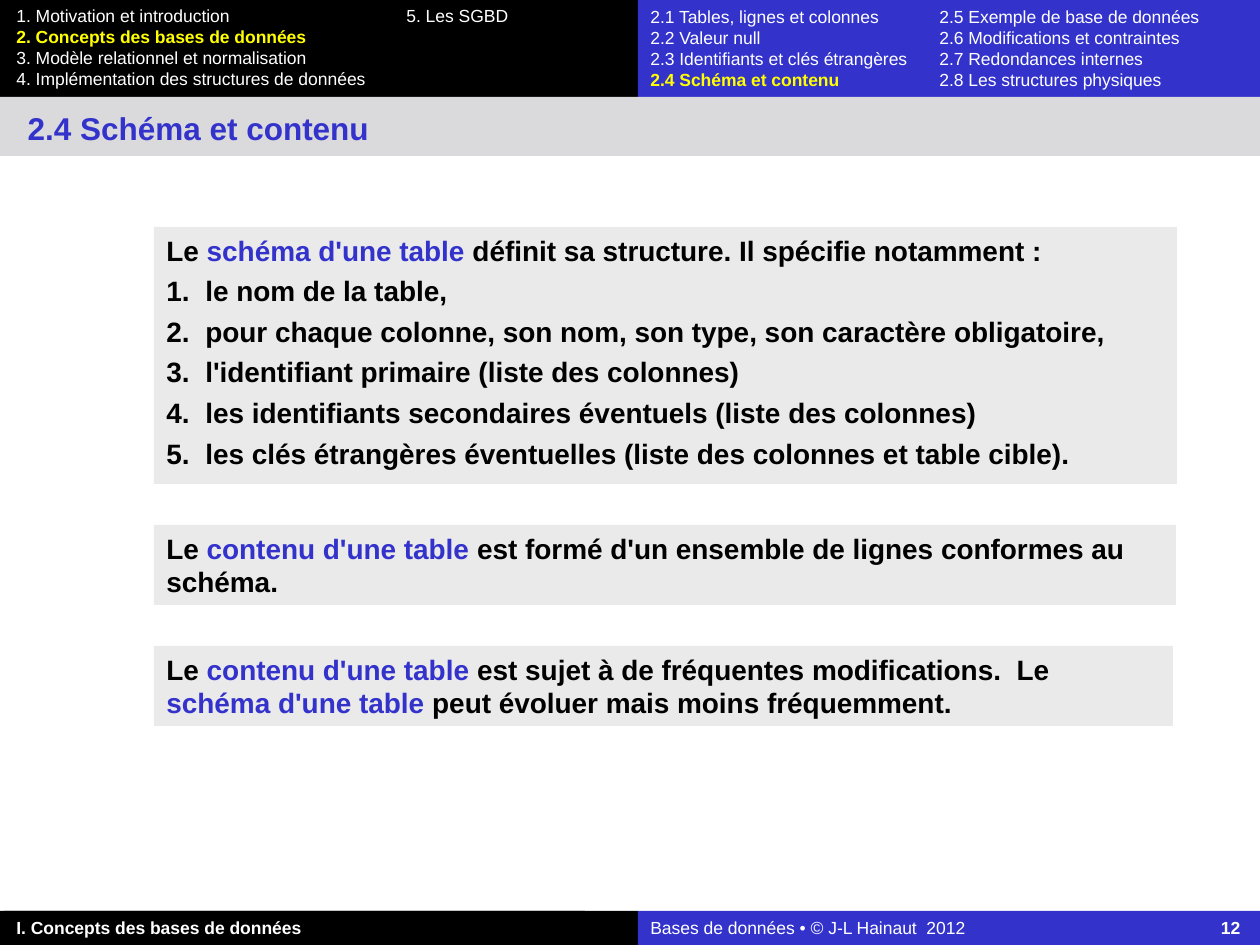
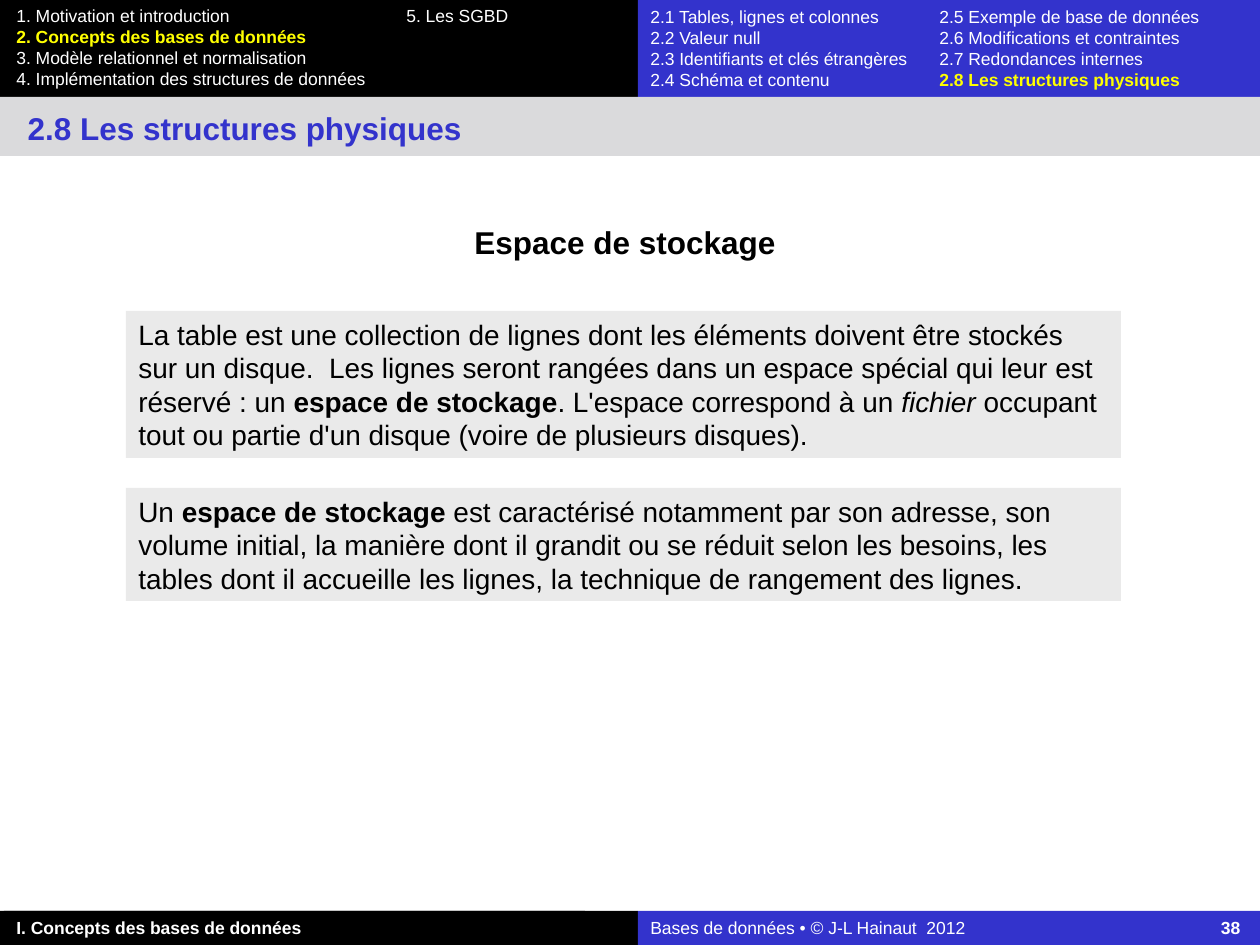
from lxml import etree
from pptx import Presentation
from pptx import util as u
from pptx.dml.color import RGBColor
from pptx.enum import shapes, text
from pptx.oxml.ns import qn

COLOURS = {
    "black": "000000", "blue": "3333CC", "white": "FFFFFF",
    "yellow": "FFFF00", "band": "DADADC", "panel": "EAEAEA",
}
STYLES = {
    "plain": ("black", False, False),
    "bold": ("black", True, False),
    "italic": ("black", False, True),
    "key": ("blue", True, False),
    "menu": ("white", False, False),
    "active": ("yellow", True, False),
    "strong": ("white", True, False),
}
FONT = "Arial"
SCALE = u.Inches(1) // 126
WIDTH, HEIGHT = 1260, 945
SPLIT = 638
HEADER, FOOTER = 97, 34
MARGIN = 4
MENU_WIDTH = 581

CHAPTERS = [
    ["1. Motivation et introduction", "5. Les SGBD"],
    ["2. Concepts des bases de données"],
    ["3. Modèle relationnel et normalisation"],
    ["4. Implémentation des structures de données"],
]
CHAPTER = "2. Concepts des bases de données"
SECTIONS = [
    ["2.1 Tables, lignes et colonnes", "2.5 Exemple de base de données"],
    ["2.2 Valeur null", "2.6 Modifications et contraintes"],
    ["2.3 Identifiants et clés étrangères", "2.7 Redondances internes"],
    ["2.4 Schéma et contenu", "2.8 Les structures physiques"],
]
PART = "I. Concepts des bases de données"
COURSE = "Bases de données • © J-L Hainaut  2012"

SCHEMA_ITEMS = [
    "le nom de la table,",
    "pour chaque colonne, son nom, son type, son caractère obligatoire,",
    "l'identifiant primaire (liste des colonnes)",
    "les identifiants secondaires éventuels (liste des colonnes)",
    "les clés étrangères éventuelles (liste des colonnes et table cible).",
]
SCHEMA = [[("Le ", "bold"), ("schéma d'une table", "key"),
           (" définit sa structure. Il spécifie notamment :", "bold")]]
SCHEMA += [[(f"{number}.\t{item}", "bold")]
           for number, item in enumerate(SCHEMA_ITEMS, 1)]
CONTENT = [[("Le ", "bold"), ("contenu d'une table", "key"),
            (" est formé d'un ensemble de lignes conformes au schéma.", "bold")]]
CHANGES = [[("Le ", "bold"), ("contenu d'une table", "key"),
            (" est sujet à de fréquentes modifications.  Le ", "bold"),
            ("schéma d'une table", "key"),
            (" peut évoluer mais moins fréquemment.", "bold")]]
STORAGE = [[("La table est une collection de lignes dont les éléments doivent être "
             "stockés sur un disque.  Les lignes seront rangées dans un espace "
             "spécial qui leur est réservé : un ", "plain"),
            ("espace de stockage", "bold"),
            (". L'espace correspond à un ", "plain"), ("fichier", "italic"),
            (" occupant tout ou partie d'un disque (voire de plusieurs disques).",
             "plain")]]
FEATURES = [[("Un ", "plain"), ("espace de stockage", "bold"),
             (" est caractérisé notamment par son adresse, son volume initial, la "
              "manière dont il grandit ou se réduit selon les besoins, les tables "
              "dont il accueille les lignes, la technique de rangement des lignes.",
              "plain")]]

SLIDES = [
    {"title": "2.4 Schéma et contenu", "page": "12", "heading": None,
     "left": 154, "top": 227, "gap": 41,
     "panels": [(1023, 257, SCHEMA), (1022, 80, CONTENT), (1019, 80, CHANGES)]},
    {"title": "2.8 Les structures physiques", "page": "38",
     "heading": "Espace de stockage",
     "left": 126, "top": 311, "gap": 30,
     "panels": [(995, 147, STORAGE), (995, 113, FEATURES)]},
]


def px(length):
    return u.Emu(length * SCALE)


def rgb(colour):
    return RGBColor.from_string(COLOURS[colour])


def add_band(slide, box, colour):
    band = slide.shapes.add_shape(shapes.MSO_SHAPE.RECTANGLE, *map(px, box))
    band.shadow.inherit = False
    band.fill.solid()
    band.fill.fore_color.rgb = rgb(colour)
    band.line.fill.background()
    return band


def add_label(slide, box):
    return slide.shapes.add_textbox(*map(px, box))


def write(shape, lines, size, align=text.PP_ALIGN.LEFT, before=0,
          hanging=0, tab=None, tab_align="l"):
    frame = shape.text_frame
    frame.word_wrap = True
    frame.auto_size = text.MSO_AUTO_SIZE.NONE
    frame.vertical_anchor = text.MSO_ANCHOR.TOP
    frame.text = "\n".join([""] * len(lines))
    for index, (paragraph, pieces) in enumerate(zip(frame.paragraphs, lines)):
        paragraph.alignment = align
        paragraph.space_before = u.Pt(before if index else 0)
        properties = paragraph._p.get_or_add_pPr()
        if hanging:
            properties.set("marL", str(px(hanging)))
            properties.set("indent", str(-px(hanging)))
        if tab:
            tabs = etree.SubElement(properties, qn("a:tabLst"))
            etree.SubElement(tabs, qn("a:tab"), pos=str(px(tab)), algn=tab_align)
        for wording, style in pieces:
            run = paragraph.add_run()
            run.text = wording
            colour, run.font.bold, run.font.italic = STYLES[style]
            run.font.color.rgb = rgb(colour)
            run.font.name = FONT
            run.font.size = u.Pt(size)


def menu_lines(rows, active):
    return [[(("\t" if column else "") + entry,
              "active" if entry == active else "menu")
             for column, entry in enumerate(row)] for row in rows]


def add_frame(slide, title, page):
    footer_top = HEIGHT - FOOTER
    right = WIDTH - SPLIT
    add_band(slide, (0, 0, SPLIT, HEADER), "black")
    add_band(slide, (SPLIT, 0, right, HEADER), "blue")
    add_band(slide, (0, footer_top, SPLIT, FOOTER), "black")
    course = add_band(slide, (SPLIT, footer_top, right, FOOTER), "blue")
    write(course, [[(COURSE, "menu"), ("\t" + page, "strong")]], 10,
          tab=590, tab_align="r")
    part = add_band(slide, (MARGIN, footer_top, MENU_WIDTH, FOOTER), "black")
    write(part, [[(PART, "strong")]], 10)
    chapters = add_label(slide, (MARGIN, -1, MENU_WIDTH, HEADER))
    write(chapters, menu_lines(CHAPTERS, CHAPTER), 10, tab=390)
    sections = add_label(slide, (SPLIT, 0, right, HEADER))
    write(sections, menu_lines(SECTIONS, title), 10, tab=289)

    add_band(slide, (0, HEADER, WIDTH, 59), "band")
    heading = slide.shapes.title
    heading.left, heading.top, heading.width, heading.height = map(
        px, (15, 103, 1176, 50))
    write(heading, [[(title, "key")]], 18)
    slide.shapes._spTree.append(heading._element)


def add_panels(slide, left, top, gap, panels):
    for width, height, lines in panels:
        panel = add_band(slide, (left, top, width, height), "panel")
        write(panel, lines, 16, before=4, hanging=39 if len(lines) > 1 else 0)
        top += height + gap


def main():
    deck = Presentation()
    deck.slide_width, deck.slide_height = px(WIDTH), px(HEIGHT)
    title_only = deck.slide_layouts[5]
    for content in SLIDES:
        slide = deck.slides.add_slide(title_only)
        add_frame(slide, content["title"], content["page"])
        if content["heading"]:
            heading = add_label(slide, (462, 217, 326, 50))
            write(heading, [[(content["heading"], "bold")]], 18,
                  align=text.PP_ALIGN.CENTER)
        add_panels(slide, content["left"], content["top"], content["gap"],
                   content["panels"])
    deck.save("out.pptx")


if __name__ == "__main__":
    main()
